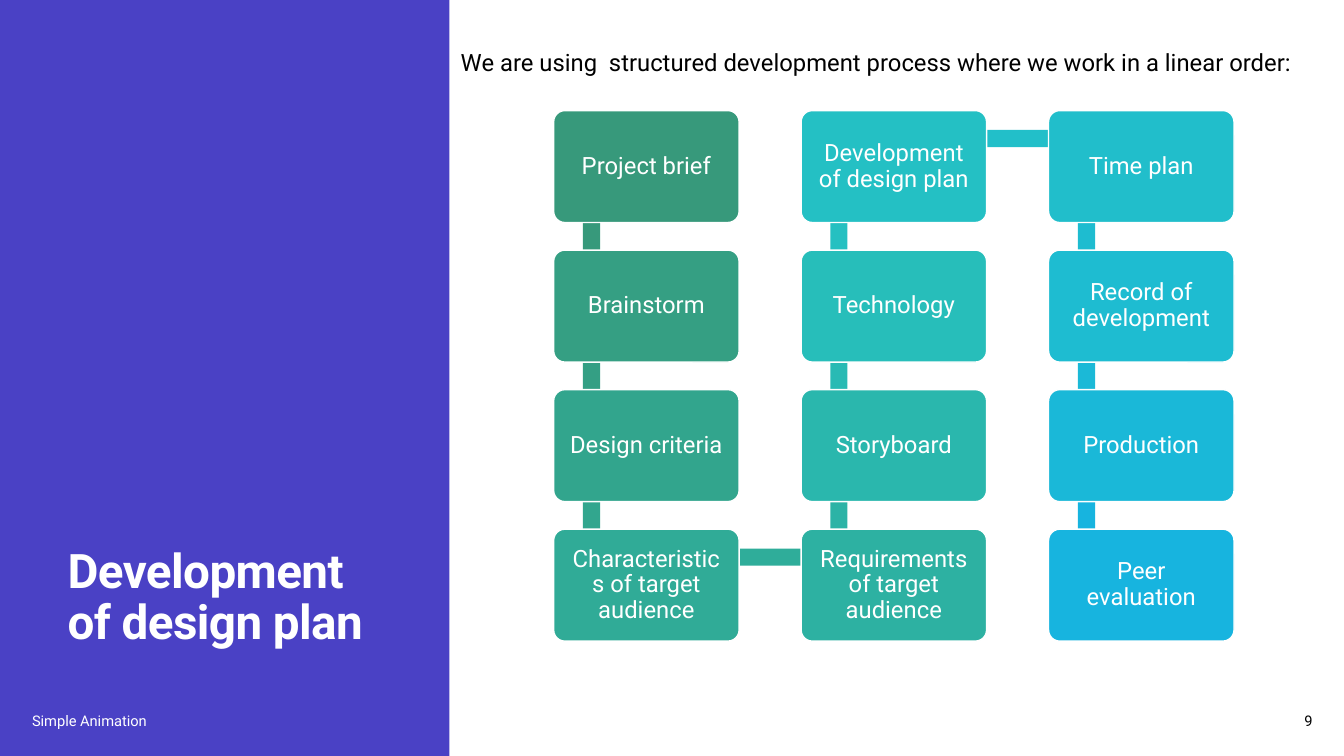
from pptx import Presentation
from pptx.dml.color import RGBColor
from pptx.enum.shapes import MSO_SHAPE
from pptx.enum.text import MSO_ANCHOR, MSO_AUTO_SIZE, PP_ALIGN
from pptx.util import Pt

WHITE = RGBColor(0xFF, 0xFF, 0xFF)
BLACK = RGBColor(0x00, 0x00, 0x00)
VIOLET = RGBColor(0x4A, 0x41, 0xC5)
BOX_TINTS = [RGBColor.from_string(tint) for tint in (
    "37997B", "359F83", "32A58D", "30AB97", "2DB1A2", "2AB7AD",
    "27BEBA", "24C0C4", "21BECB", "1EBCD1", "1AB8D8", "17B4DF")]
BAR_TINTS = [RGBColor.from_string(tint) for tint in (
    "37997B", "349F84", "32A68E", "2FAD9A", "2CB3A6", "29BAB4",
    "25C0C1", "22BFC9", "1EBCD0", "1BB9D7", "17B4DF")]

STEPS = [
    "Project brief", "Brainstorm", "Design criteria",
    "Characteristics of target audience",
    "Requirements of target audience", "Storyboard", "Technology",
    "Development of design plan",
    "Time plan", "Record of development", "Production", "Peer evaluation",
]
ROWS = 4
LEFT, TOP = 395.5, 79
STEP_X, STEP_Y = 176.75, 99.67
BOX_W, BOX_H = 132.5, 80
BAR_H = 12.3


class Painter:
    font = "Roboto"

    def __init__(self, slide):
        self.shapes = slide.shapes

    def shape(self, kind, x, y, w, h, fill, line=None):
        item = self.shapes.add_shape(kind, Pt(x), Pt(y), Pt(w), Pt(h))
        item.shadow.inherit = False
        item.fill.solid()
        item.fill.fore_color.rgb = fill
        if line is None:
            item.line.fill.background()
        else:
            item.line.color.rgb = line
            item.line.width = Pt(1)
        return item

    def panel(self, x, y, w, h, fill):
        return self.shape(MSO_SHAPE.RECTANGLE, x, y, w, h, fill)

    def letter(self, frame, text, size, color, bold=False, align=PP_ALIGN.LEFT,
               lines=None, after=0, track=None):
        para = frame.paragraphs[0]
        para.alignment = align
        para.space_after = Pt(after)
        if lines:
            para.line_spacing = lines
        run = para.add_run()
        run.text = text
        run.font.name = self.font
        run.font.size = Pt(size)
        run.font.bold = bold
        run.font.color.rgb = color
        if track:
            run._r.get_or_add_rPr().set("spc", str(track))

    def label(self, x, y, w, h, text, size, color,
              anchor=MSO_ANCHOR.MIDDLE, wrap=True, **style):
        frame = self.shapes.add_textbox(Pt(x), Pt(y), Pt(w), Pt(h)).text_frame
        frame.word_wrap = wrap
        frame.auto_size = MSO_AUTO_SIZE.NONE if wrap else MSO_AUTO_SIZE.SHAPE_TO_FIT_TEXT
        frame.vertical_anchor = anchor
        self.letter(frame, text, size, color, **style)

    def box(self, x, y, text, fill):
        item = self.shape(MSO_SHAPE.ROUNDED_RECTANGLE, x, y, BOX_W, BOX_H, fill, WHITE)
        item.adjustments[0] = 0.1
        frame = item.text_frame
        frame.word_wrap = True
        frame.vertical_anchor = MSO_ANCHOR.MIDDLE
        frame.margin_left = frame.margin_right = Pt(7)
        frame.margin_top = frame.margin_bottom = Pt(7)
        self.letter(frame, text, 17, WHITE, align=PP_ALIGN.CENTER, lines=0.9)

    def bar(self, start, end, fill):
        (x1, y1), (x2, y2) = start, end
        size = abs(x2 - x1) + abs(y2 - y1) - 1
        mid_x, mid_y = (x1 + x2) / 2 + 27, (y1 + y2) / 2 + 20
        item = self.panel(mid_x - size / 2, mid_y - BAR_H / 2, size, BAR_H, fill)
        if y1 != y2:
            item.rotation = 90 if y2 > y1 else 270


def place(index):
    col, row = divmod(index, ROWS)
    if col % 2:
        row = ROWS - 1 - row
    return LEFT + col * STEP_X, TOP + row * STEP_Y


def main():
    deck = Presentation()
    deck.slide_width, deck.slide_height = Pt(960), Pt(540)
    paint = Painter(deck.slides.add_slide(deck.slide_layouts[6]))

    paint.panel(0, 0, 960, 540, WHITE)
    paint.panel(0, 0, 321, 540, VIOLET)
    paint.label(41.2, 36.5, 248.5, 431.5, "Development of design plan", 34, WHITE,
                anchor=MSO_ANCHOR.BOTTOM, bold=True, lines=0.9, track=-40)
    paint.label(15.8, 500.5, 295, 28.8, "Simple Animation", 10.5, WHITE, after=6)
    paint.label(895, 500.5, 49.7, 28.8, "9", 10.5, BLACK,
                align=PP_ALIGN.RIGHT, after=6)

    spots = [place(index) for index in range(len(STEPS))]
    for index, (text, spot) in enumerate(zip(STEPS, spots)):
        if index < len(BAR_TINTS):
            paint.bar(spot, spots[index + 1], BAR_TINTS[index])
        paint.box(*spot, text, BOX_TINTS[index])

    paint.label(322, 30.5, 634.3, 28, "We are using  structured development process "
                "where we work in a linear order:", 17, BLACK,
                anchor=MSO_ANCHOR.TOP, wrap=False)
    deck.save("out.pptx")


if __name__ == "__main__":
    main()
